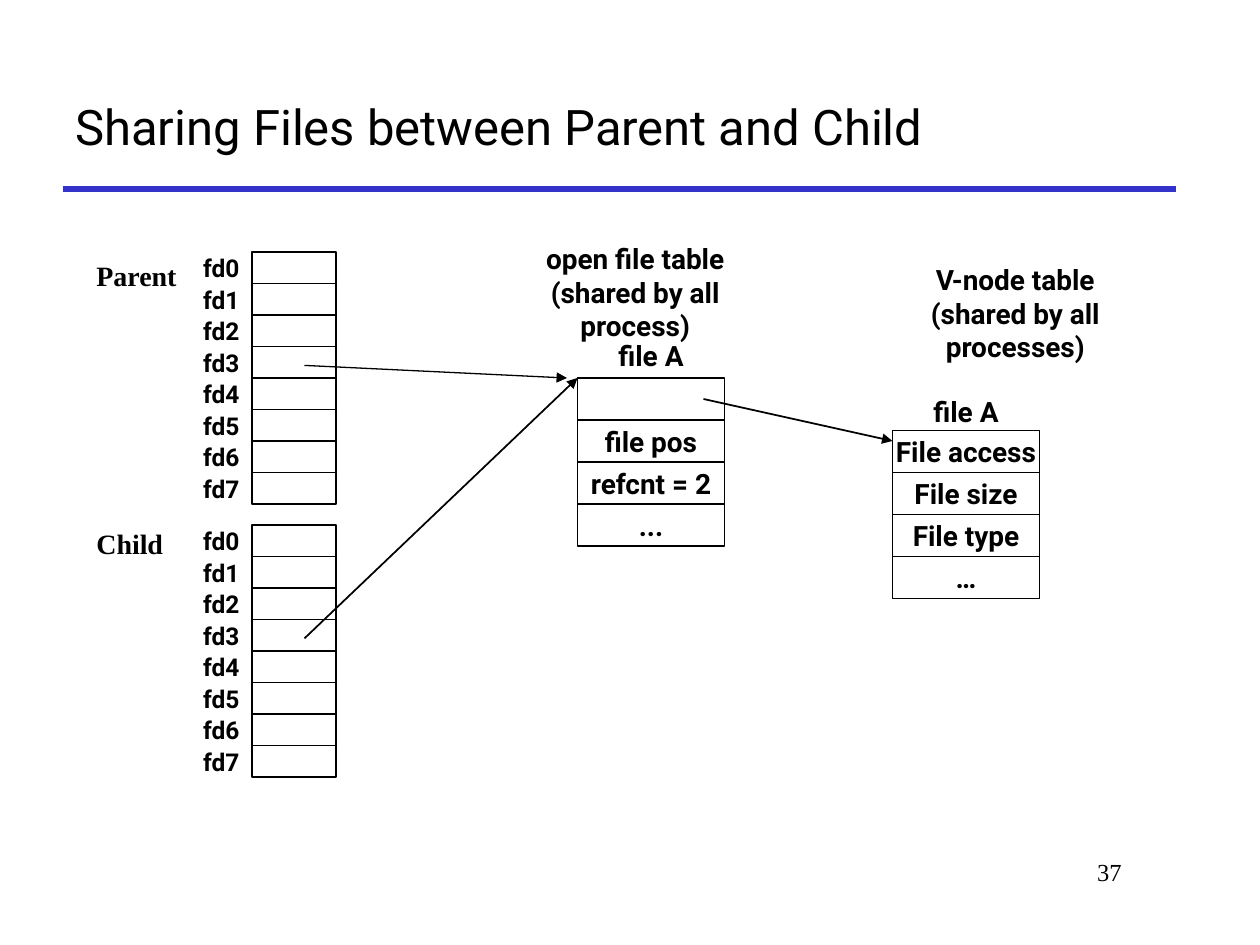
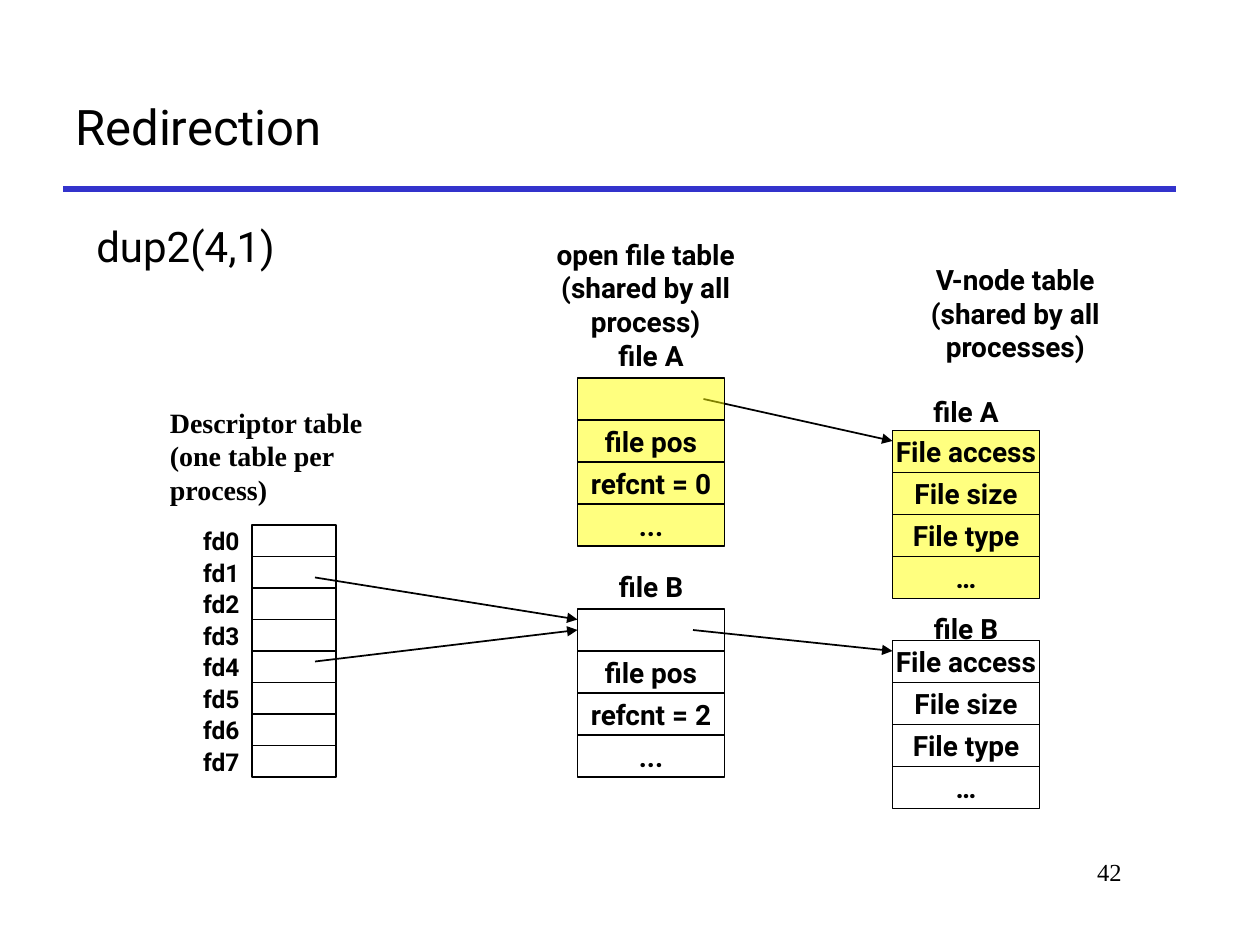
from dataclasses import dataclass
from typing import Optional

from lxml.etree import SubElement
from pptx import Presentation
from pptx.dml.color import RGBColor
from pptx.enum.shapes import MSO_CONNECTOR, MSO_SHAPE
from pptx.enum.text import MSO_ANCHOR, PP_ALIGN
from pptx.oxml.ns import qn
from pptx.util import Inches, Pt

BLACK = RGBColor(0x00, 0x00, 0x00)
BLUE = RGBColor(0x33, 0x33, 0xCC)
YELLOW = RGBColor(0xFF, 0xFF, 0x00)

WIDTH, HEIGHT = Inches(10), Inches(7.5)
COLS, ROWS = 120, 90

SANS, SERIF = "Roboto", "Times New Roman"
TITLE = {"name": SANS, "size": Pt(28), "bold": False}
CALL = {"name": SANS, "size": Pt(24), "bold": False}
LABEL = {"name": SANS, "size": Pt(16), "bold": True}
FD = {"name": SANS, "size": Pt(14), "bold": True}
OWNER = {"name": SERIF, "size": Pt(16), "bold": True}
NUMBER = {"name": SERIF, "size": Pt(14), "bold": False}

FD_COUNT, FD_COL, FD_WIDTH, FD_HEIGHT = 8, 24, 8, 3
CELL_WIDTH, CELL_HEIGHT = 14, 4
OPEN_COL, VNODE_COL = 55, 85
VNODE_ROWS = ("File access", "File size", "File type", "…")


@dataclass(frozen=True)
class Box:
    col: float
    row: float
    cols: float
    rows: float

    def emu(self) -> tuple[int, int, int, int]:
        return x(self.col), y(self.row), x(self.cols), y(self.rows)


@dataclass(frozen=True)
class Caption:
    box: Box
    lines: tuple[str, ...]
    font: dict
    align: PP_ALIGN = PP_ALIGN.LEFT
    anchor: MSO_ANCHOR = MSO_ANCHOR.TOP
    wrap: bool = True
    spacing: Optional[float] = None


@dataclass(frozen=True)
class FileTable:
    label: str
    col: float
    row: float
    cells: tuple[str, ...]
    fill: Optional[RGBColor] = None
    label_drop: float = 0


@dataclass(frozen=True)
class Arrow:
    """A grid line with a head; joins is the table whose first cell it is glued to."""
    start: tuple[float, float]
    end: tuple[float, float]
    weight: float = 1
    joins: Optional[int] = None


@dataclass(frozen=True)
class Page:
    title: str
    number: int
    captions: tuple[Caption, ...]
    fd_rows: tuple[float, ...]
    tables: tuple[FileTable, ...]
    arrows: tuple[Arrow, ...]


def x(col: float) -> int:
    return round(WIDTH * col / COLS)


def y(row: float) -> int:
    return round(HEIGHT * row / ROWS)


def heading(box: Box, *lines: str) -> Caption:
    return Caption(box, lines, LABEL, PP_ALIGN.CENTER, MSO_ANCHOR.MIDDLE)


def owner(box: Box, text: str) -> Caption:
    return Caption(box, (text,), OWNER)


def open_file(label: str, row: float, refcnt: int, fill: Optional[RGBColor] = None) -> FileTable:
    return FileTable(label, OPEN_COL, row, ("", "file pos", f"refcnt = {refcnt}", "..."), fill)


def vnode(label: str, row: float, drop: float, fill: Optional[RGBColor] = None) -> FileTable:
    return FileTable(label, VNODE_COL, row, VNODE_ROWS, fill, drop)


VNODE_HEADING = heading(Box(85.4, 24.4, 22.6, 10.8), "V-node table", "(shared by all processes)")
VNODE_ARROW = Arrow((67, 38), (85, 42))

PAGES = (
    Page(
        "Sharing Files between Parent and Child", 37,
        captions=(
            heading(Box(46, 22.4, 29, 10.8), "open file table", "(shared by all process)"),
            VNODE_HEADING,
            owner(Box(8, 24, 21, 4.4), "Parent"),
            owner(Box(8, 49.6, 21, 4.4), "Child"),
        ),
        fd_rows=(24, 50),
        tables=(open_file("file A", 36, 2), vnode("file A", 41, 0.4)),
        arrows=(VNODE_ARROW, Arrow((29, 60.8), (55, 36)), Arrow((29, 34.8), (54, 36), 0.75)),
    ),
    Page(
        "Redirection", 42,
        captions=(
            heading(Box(47, 22, 29, 10.8), "open file table", "(shared by all process)"),
            VNODE_HEADING,
            owner(Box(15, 38, 21, 10.8), "Descriptor table (one table per process)"),
            Caption(Box(8, 21, 19.4, 5.5), ("dup2(4,1)",), CALL, wrap=False, spacing=0.9),
        ),
        fd_rows=(50,),
        tables=(
            open_file("file A", 36, 0, YELLOW),
            vnode("file A", 41, 0.4, YELLOW),
            open_file("file B", 58, 2),
            vnode("file B", 61, 1),
        ),
        arrows=(
            VNODE_ARROW,
            Arrow((30, 55), (55, 59)),
            Arrow((66, 60), (85, 62)),
            Arrow((30, 63), (55, 60), joins=2),
        ),
    ),
)


def write(shape, caption: Caption) -> None:
    tf = shape.text_frame
    tf.word_wrap = caption.wrap
    tf.vertical_anchor = caption.anchor
    for i, line in enumerate(caption.lines):
        p = tf.paragraphs[0] if i == 0 else tf.add_paragraph()
        p.alignment = caption.align
        if caption.spacing:
            p.line_spacing = caption.spacing
        r = p.add_run()
        r.text = line
        for name, value in caption.font.items():
            setattr(r.font, name, value)
        r.font.color.rgb = BLACK


def add_caption(s, caption: Caption) -> None:
    write(s.shapes.add_textbox(*caption.box.emu()), caption)


def add_cell(s, box: Box, fill: Optional[RGBColor] = None):
    """Add an outlined rectangle, filled at half opacity if a fill is given."""
    sp = s.shapes.add_shape(MSO_SHAPE.RECTANGLE, *box.emu())
    sp.shadow.inherit = False
    sp.line.color.rgb = BLACK
    sp.line.width = Pt(1)
    if fill is None:
        sp.fill.background()
    else:
        sp.fill.solid()
        sp.fill.fore_color.rgb = fill
        color = sp.fill._xPr.find(qn("a:solidFill"))[0]
        SubElement(color, qn("a:alpha"), val="50000")
    return sp


def add_line(s, start: tuple[float, float], end: tuple[float, float],
             color: RGBColor, weight: float):
    line = s.shapes.add_connector(
        MSO_CONNECTOR.STRAIGHT, x(start[0]), y(start[1]), x(end[0]), y(end[1]))
    line.line.color.rgb = color
    line.line.width = Pt(weight)
    SubElement(line._element.spPr, qn("a:effectLst"))
    return line


def add_arrow(s, arrow: Arrow):
    line = add_line(s, arrow.start, arrow.end, BLACK, arrow.weight)
    SubElement(line.line._get_or_add_ln(), qn("a:tailEnd"), type="triangle")
    return line


def add_descriptors(s, top: float) -> None:
    for i in range(FD_COUNT):
        row = top + i * FD_HEIGHT
        add_cell(s, Box(FD_COL, row, FD_WIDTH, FD_HEIGHT))
        box = Box(FD_COL - FD_WIDTH, row, FD_WIDTH, FD_HEIGHT)
        add_caption(s, Caption(box, (f"fd{i}",), FD, PP_ALIGN.RIGHT, MSO_ANCHOR.MIDDLE, False))


def add_file_table(s, table: FileTable):
    """Draw the stacked cells and the label above; return the first cell."""
    cells = []
    for i, text in enumerate(table.cells):
        box = Box(table.col, table.row + i * CELL_HEIGHT, CELL_WIDTH, CELL_HEIGHT)
        sp = add_cell(s, box, table.fill)
        if text:
            write(sp, Caption(box, (text,), LABEL, PP_ALIGN.CENTER, MSO_ANCHOR.MIDDLE, False))
        cells.append(sp)
    box = Box(table.col + 2.5, table.row - 4.4 + table.label_drop, 9, 4.4)
    add_caption(s, Caption(box, (table.label,), LABEL, PP_ALIGN.CENTER, MSO_ANCHOR.MIDDLE, False))
    return cells[0]


def add_page(prs, page: Page) -> None:
    s = prs.slides.add_slide(prs.slide_layouts[6])
    add_line(s, (6, 18), (112, 18), BLUE, 3)
    add_caption(s, Caption(Box(6, 6, 106, 12), (page.title,), TITLE, anchor=MSO_ANCHOR.MIDDLE))
    add_caption(s, Caption(Box(91, 81, 17, 6), (str(page.number),), NUMBER, PP_ALIGN.RIGHT))
    for caption in page.captions:
        add_caption(s, caption)
    # Arrows lie behind the half-transparent cells, so they are glued afterwards.
    lines = [add_arrow(s, arrow) for arrow in page.arrows]
    for top in page.fd_rows:
        add_descriptors(s, top)
    first_cells = [add_file_table(s, table) for table in page.tables]
    for arrow, line in zip(page.arrows, lines):
        if arrow.joins is not None:
            line.end_connect(first_cells[arrow.joins], 1)


def main() -> None:
    prs = Presentation()
    prs.slide_width, prs.slide_height = WIDTH, HEIGHT
    for page in PAGES:
        add_page(prs, page)
    prs.save("out.pptx")


if __name__ == "__main__":
    main()
